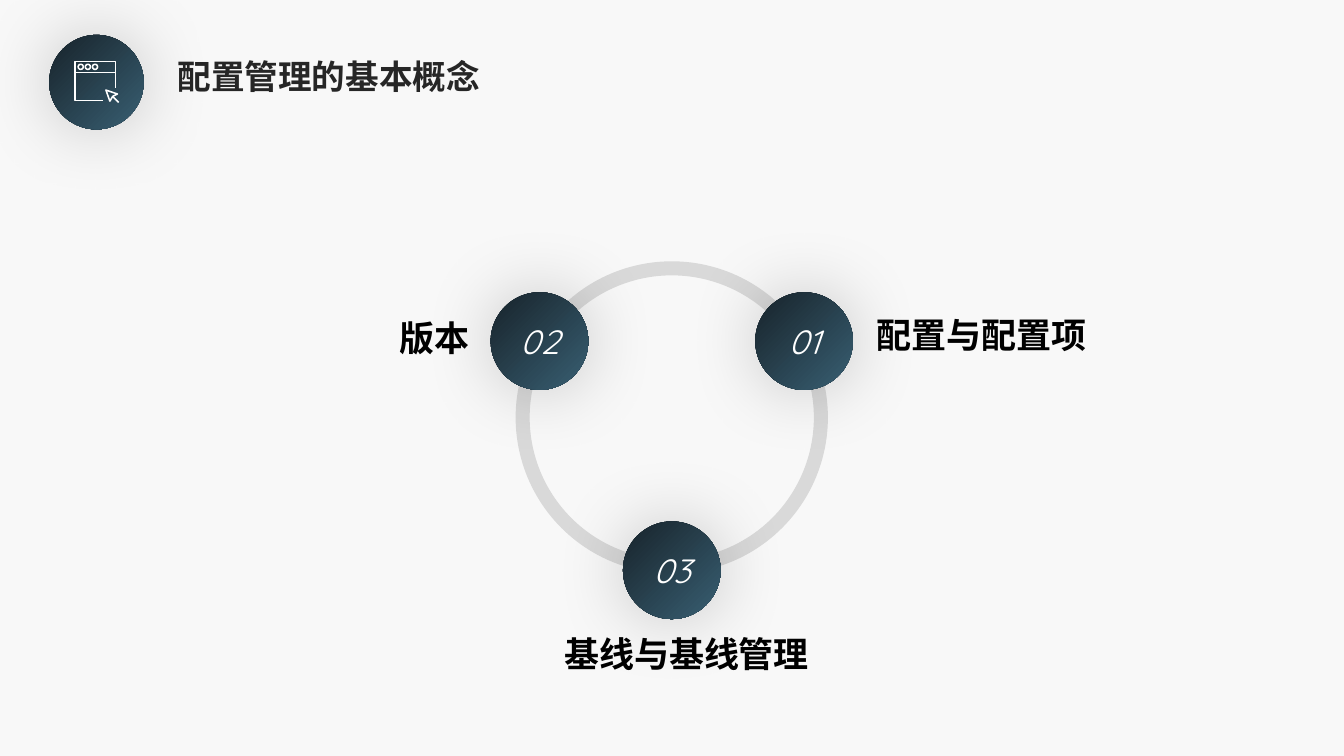
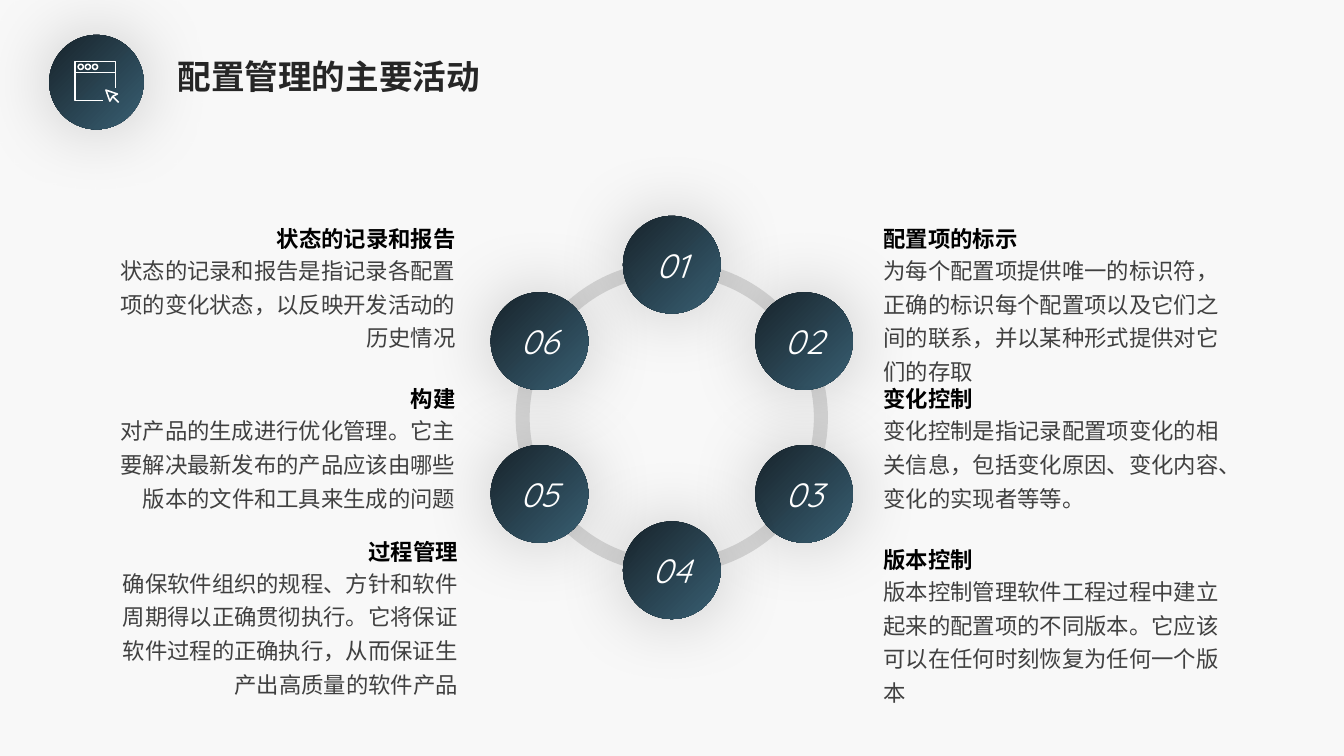
from math import cos, radians, sin

from lxml.etree import SubElement
from pptx import Presentation
from pptx.dml.color import RGBColor
from pptx.enum.shapes import MSO_CONNECTOR, MSO_SHAPE
from pptx.enum.text import MSO_ANCHOR, MSO_AUTO_SIZE, PP_ALIGN
from pptx.oxml.ns import qn
from pptx.util import Cm, Pt

COLORS = {
    "background": "F8F8F8",
    "title": "262626",
    "heading": "000000",
    "body": "404040",
    "ring": "D9D9D9",
    "dark": "17232B",
    "light": "395F72",
    "white": "FFFFFF",
    "shadow": "000000",
}
CJK = "Noto Sans CJK SC"
NUMERAL = "Quicksand"

CENTER_X, CENTER_Y = 16.93, 10.52
RING_SIZE = 7.87
ORBIT = 3.85
BADGE_SIZE = 2.46
COLUMN_WIDTH = 9.07
HEADING_DROP = 0.78

CONCEPTS = [
    ("01", 60, "配置与配置项", 21.84, 7.57, 6.25),
    ("03", 180, "基线与基线管理", 13.97, 15.6, 7.01),
    ("02", 300, "版本", 9.83, 7.65, 5.69),
]

ACTIVITIES = [
    ("配置项的标示", "为每个配置项提供唯一的标识符，正确的标识每个配置项以及它们之间的联系，并以某种形式提供对它们的存取",
     22.02, 5.41, PP_ALIGN.LEFT),
    ("变化控制", "变化控制是指记录配置项变化的相关信息，包括变化原因、变化内容、变化的实现者等等。",
     22.02, 9.45, PP_ALIGN.LEFT),
    ("版本控制", "版本控制管理软件工程过程中建立起来的配置项的不同版本。它应该可以在任何时刻恢复为任何一个版本",
     22.02, 13.5, PP_ALIGN.LEFT),
    ("状态的记录和报告", "状态的记录和报告是指记录各配置项的变化状态，以反映开发活动的历史情况",
     2.66, 5.41, PP_ALIGN.RIGHT),
    ("构建", "对产品的生成进行优化管理。它主要解决最新发布的产品应该由哪些版本的文件和工具来生成的问题",
     2.66, 9.45, PP_ALIGN.RIGHT),
    ("过程管理", "确保软件组织的规程、方针和软件周期得以正确贯彻执行。它将保证软件过程的正确执行，从而保证生产出高质量的软件产品",
     2.72, 13.29, PP_ALIGN.RIGHT),
]


def rgb(name):
    return RGBColor.from_string(COLORS[name])


def write(frame, text, size, color, face=CJK, bold=False, italic=False,
          align=PP_ALIGN.LEFT, spacing=1.0):
    frame.text = text
    paragraph = frame.paragraphs[0]
    paragraph.alignment = align
    paragraph.line_spacing = spacing
    run = paragraph.runs[0]
    run.font.size = Pt(size)
    run.font.bold = bold
    run.font.italic = italic
    run.font.color.rgb = rgb(color)
    run.font.name = face
    SubElement(run._r.get_or_add_rPr(), qn("a:ea"), typeface=face)


def add_label(slide, text, left, top, width, height, size, color, **style):
    label = slide.shapes.add_textbox(Cm(left), Cm(top), Cm(width), Cm(height))
    label.text_frame.word_wrap = True
    write(label.text_frame, text, size, color, **style)


def add_disc(slide, center_x, center_y, size):
    disc = slide.shapes.add_shape(
        MSO_SHAPE.OVAL, Cm(center_x - size / 2), Cm(center_y - size / 2), Cm(size), Cm(size))
    disc.line.fill.background()
    disc.fill.gradient()
    disc.fill.gradient_angle = 315
    for stop, color in zip(disc.fill.gradient_stops, ("dark", "light")):
        stop.color.rgb = rgb(color)
    disc.shadow.inherit = False
    effects = disc.element.spPr.find(qn("a:effectLst"))
    glow = SubElement(effects, qn("a:outerShdw"), blurRad=str(Pt(53)), dist="0", dir="0",
                      algn="ctr", rotWithShape="0")
    tint = SubElement(glow, qn("a:srgbClr"), val=COLORS["shadow"])
    SubElement(tint, qn("a:alpha"), val="20000")
    return disc


def add_badge(slide, number, angle):
    badge = add_disc(slide, CENTER_X + ORBIT * sin(radians(angle)),
                     CENTER_Y - ORBIT * cos(radians(angle)), BADGE_SIZE)
    frame = badge.text_frame
    frame.margin_left = frame.margin_right = frame.margin_top = frame.margin_bottom = 0
    frame.vertical_anchor = MSO_ANCHOR.MIDDLE
    write(frame, number, 24, "white", face=NUMERAL, italic=True, align=PP_ALIGN.CENTER)


def add_ring(slide):
    ring = slide.shapes.add_shape(
        MSO_SHAPE.DONUT, Cm(CENTER_X - RING_SIZE / 2), Cm(CENTER_Y - RING_SIZE / 2),
        Cm(RING_SIZE), Cm(RING_SIZE))
    ring.adjustments[0] = 0.045
    ring.fill.solid()
    ring.fill.fore_color.rgb = rgb("ring")
    ring.line.fill.background()
    ring.shadow.inherit = False


def style_stroke(stroke):
    stroke.line.color.rgb = rgb("white")
    stroke.line.width = Pt(1.1)


def style_outline(outline):
    outline.fill.background()
    outline.shadow.inherit = False
    style_stroke(outline)


def add_outline(slide, points, close):
    corners = [(Cm(x), Cm(y)) for x, y in points]
    builder = slide.shapes.build_freeform(*corners[0], scale=1.0)
    builder.add_line_segments(corners[1:], close=close)
    style_outline(builder.convert_to_shape())


def add_stroke(slide, x1, y1, x2, y2):
    stroke = slide.shapes.add_connector(MSO_CONNECTOR.STRAIGHT, Cm(x1), Cm(y1), Cm(x2), Cm(y2))
    style_stroke(stroke)
    SubElement(stroke.element.spPr, qn("a:effectLst"))


def add_window_icon(slide):
    add_disc(slide, 2.43, 2.07, 2.38)
    add_outline(slide, [(2.59, 2.53), (1.89, 2.53), (1.89, 1.55), (2.91, 1.55), (2.91, 2.22)], False)
    add_stroke(slide, 1.89, 1.83, 2.91, 1.83)
    for index in range(3):
        button = slide.shapes.add_shape(
            MSO_SHAPE.OVAL, Cm(1.97 + 0.18 * index), Cm(1.62), Cm(0.13), Cm(0.13))
        style_outline(button)
    add_outline(slide, [(2.67, 2.27), (2.96, 2.37), (2.84, 2.43), (2.77, 2.55)], True)
    add_stroke(slide, 2.84, 2.43, 2.99, 2.58)


def set_up_theme(deck):
    background = deck.slide_master.background.fill
    background.solid()
    background.fore_color.rgb = rgb("background")
    layout = deck.slide_layouts.get_by_name("Title Only")
    title = layout.placeholders[0]
    title.left, title.top, title.width, title.height = Cm(4.22), Cm(1.27), Cm(9.14), Cm(1.28)
    title.text_frame.vertical_anchor = MSO_ANCHOR.TOP
    title.text_frame.auto_size = MSO_AUTO_SIZE.NONE
    return layout


def add_ring_slide(deck, layout, title):
    slide = deck.slides.add_slide(layout)
    write(slide.shapes.title.text_frame, title, 24, "title", bold=True)
    add_window_icon(slide)
    add_ring(slide)
    return slide


def add_concepts(slide):
    for number, angle, *_ in CONCEPTS:
        add_badge(slide, number, angle)
    for _, _, name, left, top, width in CONCEPTS:
        add_label(slide, name, left, top, width, 1.55, 25, "heading", bold=True, spacing=1.2)


def add_activities(slide):
    for index in range(6):
        add_badge(slide, f"{index + 1:02}", 60 * index)
    for heading, detail, left, top, align in ACTIVITIES:
        add_label(slide, detail, left, top + HEADING_DROP, COLUMN_WIDTH, 3.68, 16, "body",
                  align=align, spacing=1.25)
        add_label(slide, heading, left, top, COLUMN_WIDTH, 1.07, 16, "heading",
                  bold=True, align=align, spacing=1.2)


def main():
    deck = Presentation()
    deck.slide_width, deck.slide_height = Cm(33.87), Cm(19.05)
    layout = set_up_theme(deck)
    add_concepts(add_ring_slide(deck, layout, "配置管理的基本概念"))
    add_activities(add_ring_slide(deck, layout, "配置管理的主要活动"))
    deck.save("out.pptx")


if __name__ == "__main__":
    main()
